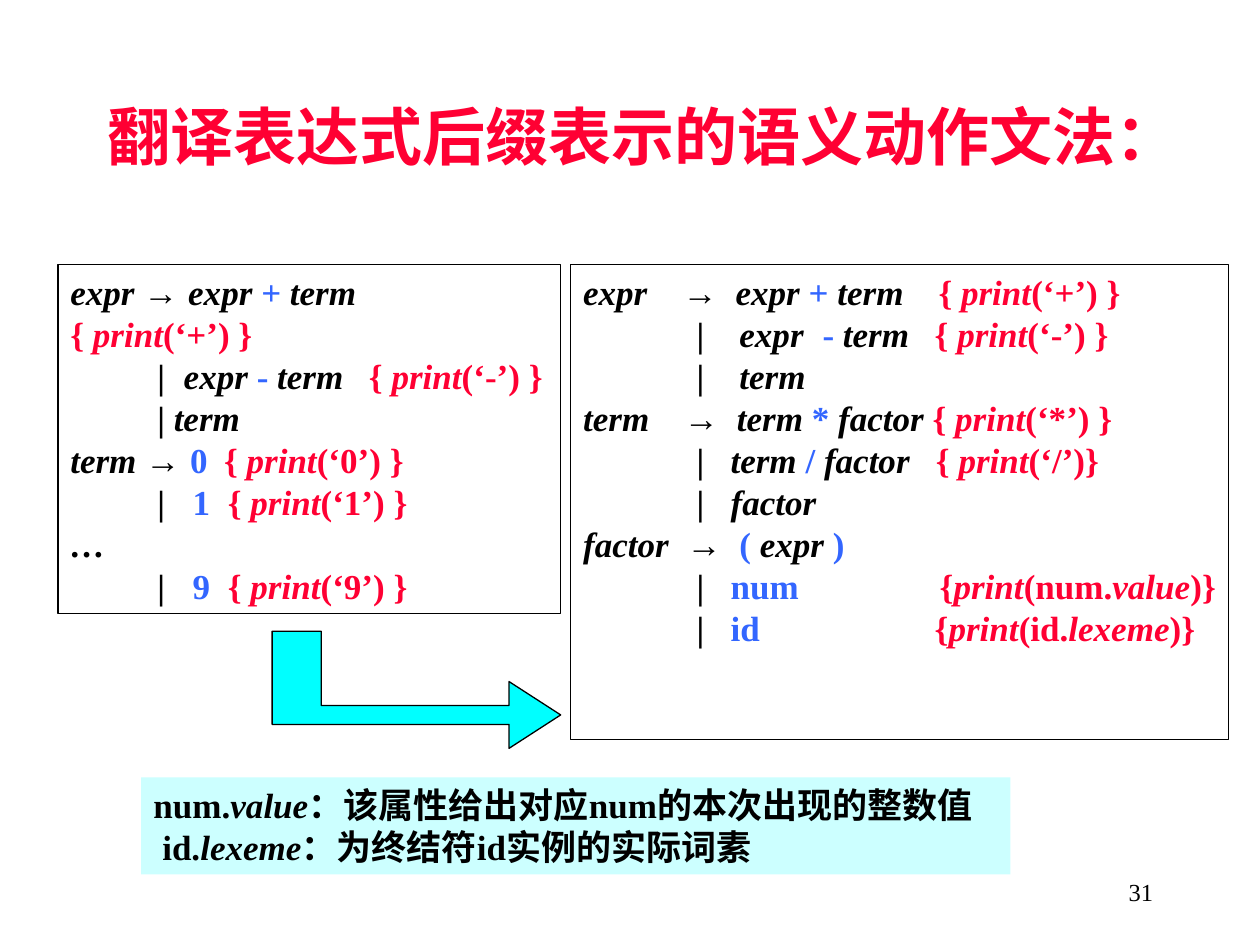
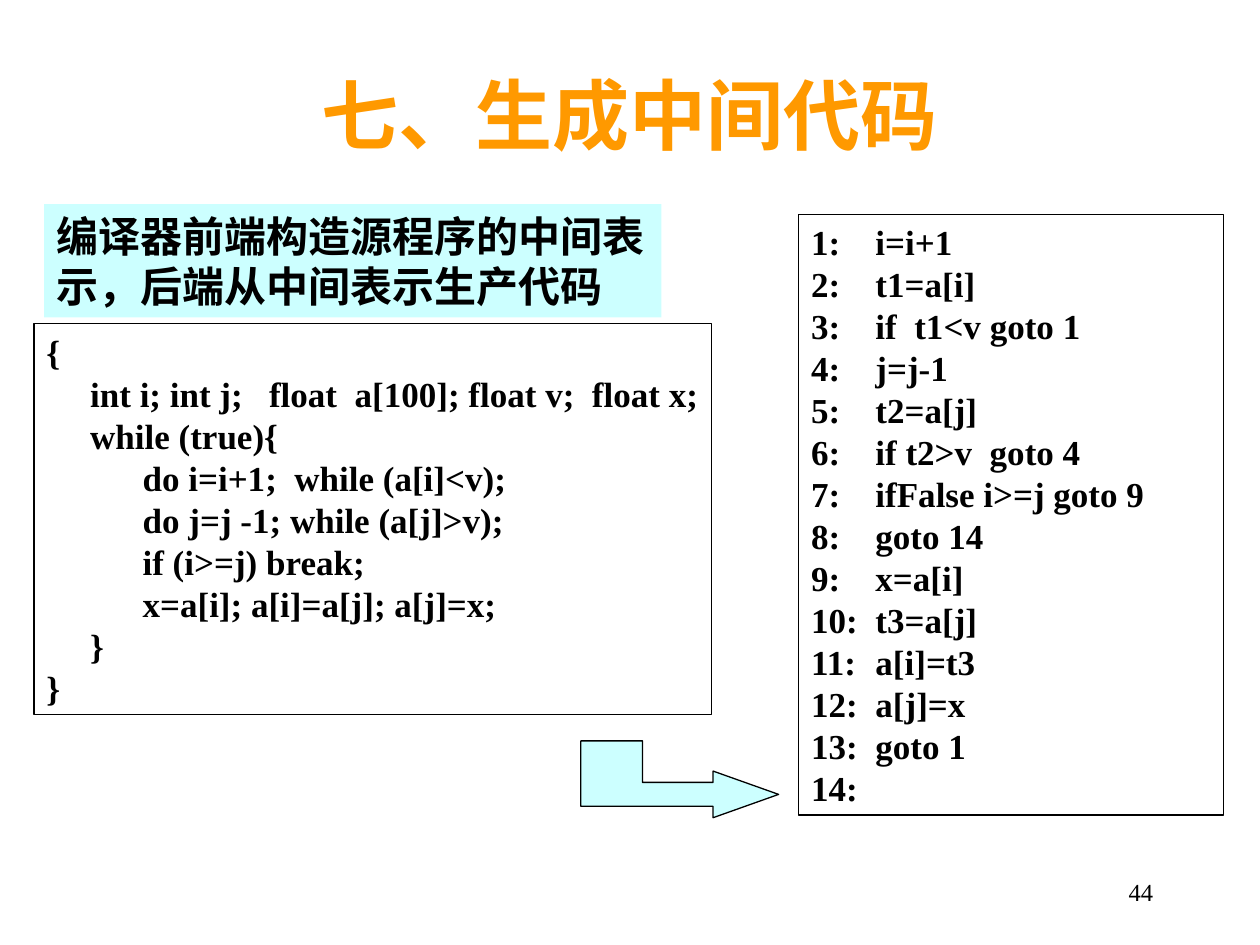
import pptx
import pptx.dml.color
import pptx.enum.shapes
import pptx.enum.text
import pptx.oxml.ns
import pptx.util
from lxml import etree

Inches = pptx.util.Inches
ALIGN = pptx.enum.text.PP_ALIGN
ANCHOR = pptx.enum.text.MSO_ANCHOR
COLORS = {
    "black": "000000",
    "red": "FF0033",
    "blue": "3366FF",
    "orange": "FF9900",
    "cyan": "00FFFF",
    "pale": "CCFFFF",
}
SERIF, SANS = "Times New Roman", "Arial"
STYLES = {
    "plain": ("black", SERIF, False),
    "symbol": ("black", SERIF, True),
    "arrow": ("black", SANS, False),
    "token": ("blue", SERIF, False),
    "action": ("red", SERIF, False),
    "call": ("red", SERIF, True),
}


def action(argument, start="{ ", end=" }"):
    """Return the runs of a semantic action that prints a character."""
    return [("action", start), ("call", "print"), ("action", f"(‘{argument}’){end}")]


def attribute_action(token, attribute):
    """Return the runs of a semantic action that prints an attribute."""
    return [("action", "{"), ("call", "print"), ("action", f"({token}."),
            ("call", attribute), ("action", ")}")]


def binary(left, operator, right):
    """Return the runs of a binary expression."""
    return [("symbol", left + " "), ("token", operator), ("symbol", " " + right)]


def digit_row(digit):
    """Return the alternative that derives one digit."""
    return ([0.69, 0.97, 1.25],
            [("plain", "\t|\t"), ("token", digit + "\t"), *action(digit)])


DIGIT_GRAMMAR = [
    ([], [("symbol", "expr "), ("arrow", "→ "), *binary("expr", "+", "term")]),
    ([], action("+")),
    ([0.69, 0.9, 2.37],
     [("plain", "\t|\t"), *binary("expr", "-", "term\t"), *action("-")]),
    ([0.69], [("plain", "\t| "), ("symbol", "term")]),
    ([1.22], [("symbol", "term "), ("arrow", "→ "), ("token", "0\t"), *action("0")]),
    digit_row("1"),
    ([], [("symbol", "…")]),
    digit_row("9"),
]
FACTOR_GRAMMAR = [
    ([0.79, 1.21, 2.82],
     [("symbol", "expr\t"), ("arrow", "→\t"), *binary("expr", "+", "term\t"), *action("+")]),
    ([0.9, 1.24, 1.9, 2.79],
     [("plain", "\t|\t"), ("symbol", "expr\t"), ("token", "-"), ("symbol", " term\t"),
      *action("-")]),
    ([0.9, 1.24], [("plain", "\t|\t"), ("symbol", "term")]),
    ([0.8, 1.22],
     [("symbol", "term\t"), ("arrow", "→\t"), *binary("term", "*", "factor "), *action("*")]),
    ([0.9, 1.17, 2.8],
     [("plain", "\t|\t"), *binary("term", "/", "factor\t"), *action("/", end="}")]),
    ([0.9, 1.17], [("plain", "\t|\t"), ("symbol", "factor")]),
    ([0.82, 1.24],
     [("symbol", "factor\t"), ("arrow", "→\t"), ("token", "( "), ("symbol", "expr "),
      ("token", ")")]),
    ([0.9, 1.17, 2.83],
     [("plain", "\t|\t"), ("token", "num\t"), *attribute_action("num", "value")]),
    ([0.9, 1.17, 2.79],
     [("plain", "\t|\t"), ("token", "id\t"), *attribute_action("id", "lexeme")]),
]
ATTRIBUTE_NOTES = [
    ([], [("plain", "num."), ("symbol", "value"),
          ("plain", "：该属性给出对应num的本次出现的整数值")]),
    ([0.07], [("plain", "\tid."), ("symbol", "lexeme"),
              ("plain", "：为终结符id实例的实际词素")]),
]
SOURCE_CODE = """{
     int i; int j;   float  a[100]; float v;  float x;
     while (true){
           do i=i+1;  while (a[i]<v);
           do j=j -1; while (a[j]>v);
           if (i>=j) break;
           x=a[i]; a[i]=a[j]; a[j]=x;
     }
}"""
THREE_ADDRESS_CODE = [
    "i=i+1", "t1=a[i]", "if  t1<v goto 1", "j=j-1", "t2=a[j]", "if t2>v  goto 4",
    "ifFalse i>=j goto 9", "goto 14", "x=a[i]", "t3=a[j]", "a[i]=t3", "a[j]=x", "goto 1", "",
]


def rgb(name):
    """Return the named colour."""
    return pptx.dml.color.RGBColor.from_string(COLORS[name])


def format_font(font, size, color="black", face=SERIF, bold=True, italic=False):
    """Set every text property that the slides use."""
    font.size, font.name, font.bold, font.italic = pptx.util.Pt(size), face, bold, italic
    font.color.rgb = rgb(color)


def paint(shape, fill, line):
    """Give a shape its fill and outline, or neither."""
    shape.shadow.inherit = False
    if fill:
        shape.fill.solid()
        shape.fill.fore_color.rgb = rgb(fill)
    else:
        shape.fill.background()
    if line:
        shape.line.color.rgb = rgb(line)
        shape.line.width = pptx.util.Pt(0.75)
    else:
        shape.line.fill.background()


def set_tabs(paragraph, stops):
    """Put left tab stops on a paragraph."""
    if stops:
        properties = paragraph._p.get_or_add_pPr()
        tabs = etree.SubElement(properties, pptx.oxml.ns.qn("a:tabLst"))
        for stop in stops:
            etree.SubElement(tabs, pptx.oxml.ns.qn("a:tab"), pos=str(Inches(stop)), algn="l")


def add_panel(slide, box, rows, fill=None, line="black", size=20):
    """Draw a rectangle whose rows hold tab stops and styled runs."""
    panel = slide.shapes.add_shape(pptx.enum.shapes.MSO_SHAPE.RECTANGLE,
                                   *(Inches(length) for length in box))
    paint(panel, fill, line)
    frame = panel.text_frame
    frame.word_wrap = True
    frame.vertical_anchor = ANCHOR.TOP
    frame.margin_right = 0
    for index, (stops, runs) in enumerate(rows):
        paragraph = frame.add_paragraph() if index else frame.paragraphs[0]
        paragraph.alignment = ALIGN.LEFT
        set_tabs(paragraph, stops)
        for style, text in runs:
            color, face, italic = STYLES[style]
            run = paragraph.add_run()
            run.text = text
            format_font(run.font, size, color, face, italic=italic)


def add_bent_arrow(slide, box, stem, shaft, head_length, head_height, fill):
    """Draw an arrow that comes down and turns right inside the box."""
    left, top, width, height = box
    axis, neck = height - head_height / 2, width - head_length
    upper, lower = axis - shaft / 2, axis + shaft / 2
    outline = [(0, 0), (stem, 0), (stem, upper), (neck, upper), (neck, height - head_height),
               (width, axis), (neck, height), (neck, lower), (0, lower)]
    corners = [(Inches(left + x), Inches(top + y)) for x, y in outline]
    builder = slide.shapes.build_freeform(*corners[0], scale=1.0)
    builder.add_line_segments(corners[1:], close=True)
    paint(builder.convert_to_shape(), fill, "black")


def start_slide(deck, title, box, size, color, alignment, number):
    """Add a slide with its title and page number."""
    slide = deck.slides.add_slide(deck.slide_layouts[5])
    heading = slide.shapes.title
    heading.left, heading.top, heading.width, heading.height = (Inches(n) for n in box)
    page = slide.shapes.add_textbox(Inches(7.17), Inches(6.83), Inches(2.08), Inches(0.5))
    for shape, text, side in ((heading, title, alignment), (page, number, ALIGN.RIGHT)):
        frame = shape.text_frame
        frame.text = text
        frame.word_wrap = True
        frame.auto_size = pptx.enum.text.MSO_AUTO_SIZE.NONE
        frame.vertical_anchor = ANCHOR.MIDDLE
        frame.paragraphs[0].alignment = side
    format_font(heading.text_frame.paragraphs[0].runs[0].font, size, color, SANS)
    format_font(page.text_frame.paragraphs[0].runs[0].font, 14, bold=False)
    return slide


def build_grammar_slide(deck):
    """Show how the digit grammar grows into the factor grammar."""
    slide = start_slide(deck, "翻译表达式后缀表示的语义动作文法：", (0.75, 0.68, 8.5, 0.79),
                        36, "red", ALIGN.LEFT, "31")
    add_panel(slide, (0.46, 2.1, 3.99, 2.77), DIGIT_GRAMMAR)
    add_panel(slide, (4.53, 2.1, 5.22, 3.77), FACTOR_GRAMMAR)
    add_bent_arrow(slide, (2.16, 5.01, 2.29, 0.93), 0.39, 0.15, 0.41, 0.53, "cyan")
    add_panel(slide, (1.12, 6.17, 6.9, 0.77), ATTRIBUTE_NOTES, "pale", None)


def build_code_slide(deck):
    """Show source code beside its three-address code."""
    slide = start_slide(deck, "七、生成中间代码", (0.75, 0.28, 8.5, 1.25),
                        44, "orange", ALIGN.CENTER, "44")
    source_rows = [([], [("plain", line)]) for line in SOURCE_CODE.splitlines()]
    address_rows = [([0.51], [("plain", f"{number}:\t{code}" if code else f"{number}:")])
                    for number, code in enumerate(THREE_ADDRESS_CODE, 1)]
    summary = [([], [("plain", "编译器前端构造源程序的中间表示，后端从中间表示生产代码")])]
    add_panel(slide, (0.27, 2.57, 5.38, 3.1), source_rows)
    add_panel(slide, (6.34, 1.7, 3.37, 4.77), address_rows)
    add_bent_arrow(slide, (4.61, 5.88, 1.57, 0.61), 0.49, 0.19, 0.52, 0.37, "pale")
    add_panel(slide, (0.35, 1.62, 4.9, 0.9), summary, "pale", None, 24)


def main():
    """Build and save both slides."""
    deck = pptx.Presentation()
    deck.slide_width, deck.slide_height = Inches(10), Inches(7.5)
    build_grammar_slide(deck)
    build_code_slide(deck)
    deck.save("out.pptx")


if __name__ == "__main__":
    main()
